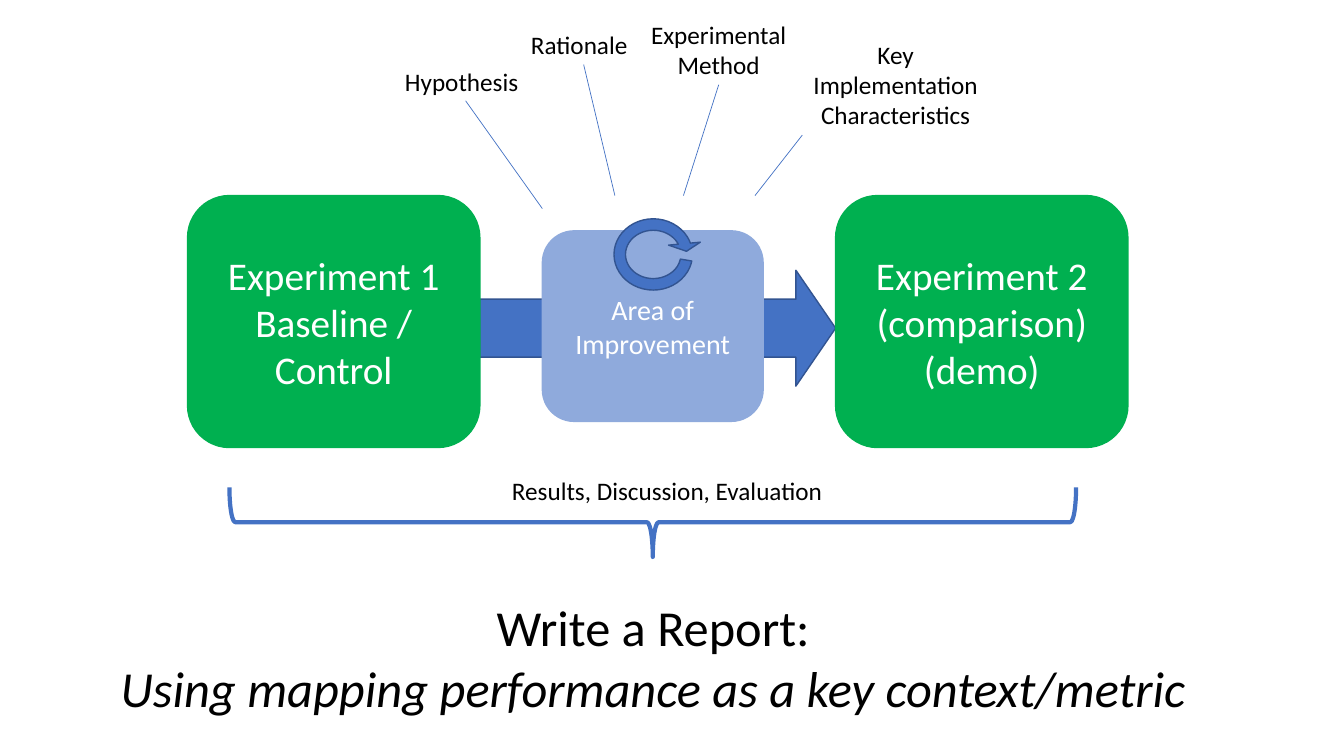
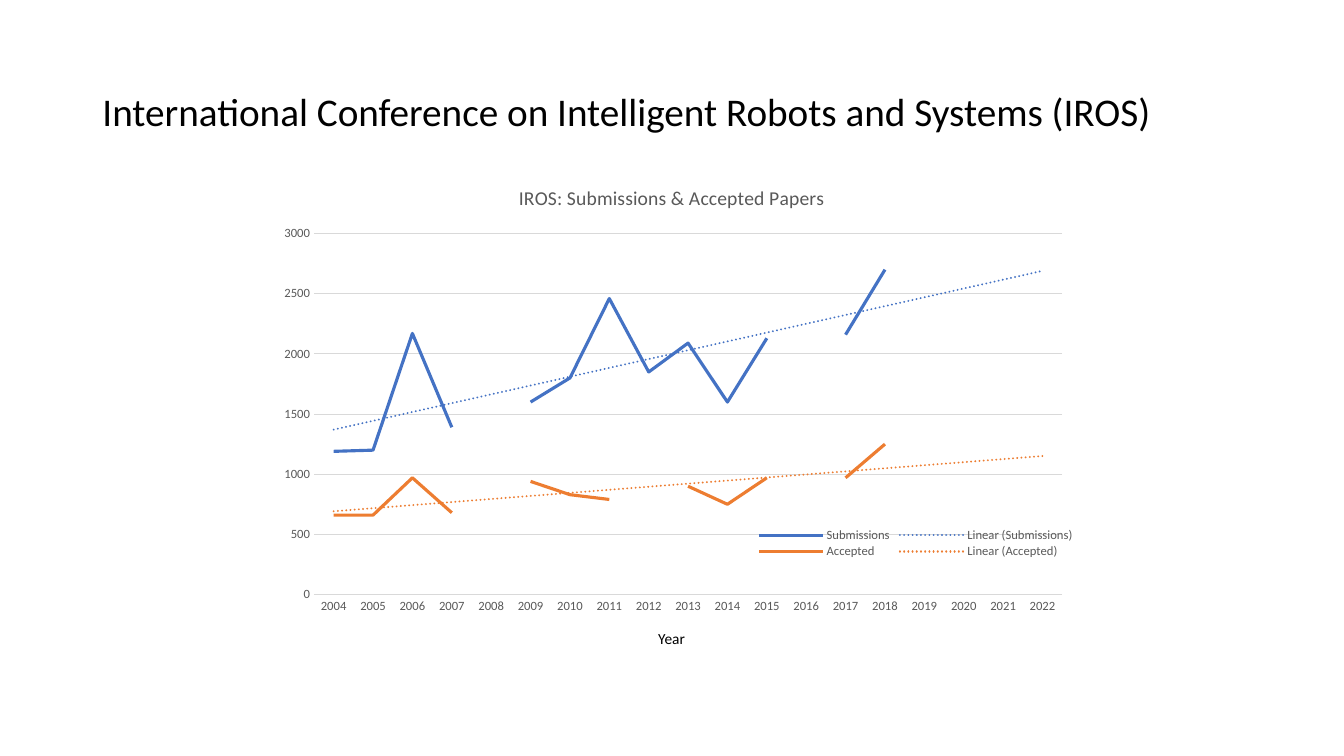
"""Build an experiment overview slide and a conference paper trend slide."""
from lxml import etree
from pptx import Presentation
from pptx import util as u
from pptx.chart.data import CategoryChartData
from pptx.dml.color import RGBColor
from pptx.enum import chart as ch, shapes, text
from pptx.oxml import ns, parse_xml

Pt = u.Pt
FONT = "Calibri"
COLORS = {
    "blue": "4472C4", "edge": "325491", "pale": "8FAADC", "green": "00B050",
    "orange": "ED7D31", "black": "000000", "white": "FFFFFF",
    "gray": "595959", "grid": "D9D9D9",
}
RGB = {name: RGBColor.from_string(value) for name, value in COLORS.items()}
SHAPE = shapes.MSO_SHAPE
CENTER, LEFT = text.PP_ALIGN.CENTER, text.PP_ALIGN.LEFT


def write(tf, lines, size, color, align=CENTER, italic=()):
    """Fill a text frame with one paragraph per line."""
    for i, line in enumerate(lines):
        p = tf.paragraphs[0] if i == 0 else tf.add_paragraph()
        p.alignment = align
        r = p.add_run()
        r.text = line
        formats = {"name": FONT, "size": Pt(size), "italic": i in italic or None}
        for key, value in formats.items():
            setattr(r.font, key, value)
        r.font.color.rgb = RGB[color]


def label(s, box, lines, size, align=CENTER, italic=()):
    """Add an unwrapped black text box."""
    tf = s.shapes.add_textbox(*map(Pt, box)).text_frame
    tf.word_wrap = False
    tf.auto_size = text.MSO_AUTO_SIZE.SHAPE_TO_FIT_TEXT
    write(tf, lines, size, "black", align, italic)


prs = Presentation()
prs.slide_width, prs.slide_height = Pt(960), Pt(540)

s = prs.slides.add_slide(prs.slide_layouts[6])
blocks = [
    (SHAPE.RIGHT_ARROW, (342.7, 193, 254.2, 82.8), "blue", "edge", 1,
     (0.5, 0.343), [], 0),
    (SHAPE.ROUNDED_RECTANGLE, (134, 139.7, 208.8, 180), "green", "green", 1,
     (), ["Experiment 1", "Baseline / Control"], 28),
    (SHAPE.ROUNDED_RECTANGLE, (596.9, 139.7, 208.8, 180), "green", "green", 1,
     (), ["Experiment 2", "(comparison)", "(demo)"], 28),
    (SHAPE.ROUNDED_RECTANGLE, (387.4, 164.9, 157.7, 136.1), "pale", "pale", 1,
     (), ["Area of Improvement"], 20),
    (SHAPE.CIRCULAR_ARROW, (431.3, 149, 70.6, 65.5), "blue", "edge", 1,
     (0.125, 8.207, 204.577, 5.812, 0.174), [], 0),
    (SHAPE.RIGHT_BRACE, (441.4, 70.6, 49.7, 604.8), None, "blue", 3, (), [], 0),
]
for kind, box, fill, line, width, adjustments, lines, size in blocks:
    sp = s.shapes.add_shape(kind, *map(Pt, box))
    sp.shadow.inherit = False
    if fill:
        sp.fill.solid()
        sp.fill.fore_color.rgb = RGB[fill]
    else:
        sp.fill.background()
        sp.rotation = 90
    sp.line.color.rgb = RGB[line]
    sp.line.width = Pt(width)
    for i, value in enumerate(adjustments):
        sp.adjustments[i] = value
    if lines:
        sp.text_frame.word_wrap = True
        sp.text_frame.vertical_anchor = text.MSO_ANCHOR.MIDDLE
        write(sp.text_frame, lines, size, "white")

pointers = [
    (332.6, 72, 387.4, 149), (416.9, 46.1, 439.2, 139.7),
    (488.2, 139.7, 513.4, 60.5), (539.3, 139.7, 573.1, 96.5),
]
for ends in pointers:
    pointer = s.shapes.add_connector(shapes.MSO_CONNECTOR.STRAIGHT, *map(Pt, ends))
    pointer.line.color.rgb = RGB["blue"]
    pointer.line.width = Pt(0.5)
    etree.SubElement(pointer.element.spPr, ns.qn("a:effectLst"))

captions = [
    ((282.2, 43.9, 96.5, 29), ["Hypothesis"], LEFT),
    ((372.2, 17.3, 84.2, 29), ["Rationale"], LEFT),
    ((457.2, 10.1, 112.3, 51), ["Experimental", "Method"], CENTER),
    ((573.1, 24.5, 133.2, 72.7), ["Key", "Implementation", "Characteristics"], CENTER),
    ((358.6, 336.2, 238.3, 29), ["Results, Discussion, Evaluation"], LEFT),
]
for box, lines, align in captions:
    label(s, box, lines, 18, align)
label(s, (74.9, 422.6, 783.4, 94.3),
      ["Write a Report:", "Using mapping performance as a key context/metric"],
      36, italic=(1,))

s = prs.slides.add_slide(prs.slide_layouts[5])
title = s.shapes.title
for key, value in zip(("left", "top", "width", "height"), (66, 28.8, 828, 104.4)):
    setattr(title, key, Pt(value))
title.text_frame.vertical_anchor = text.MSO_ANCHOR.MIDDLE
write(title.text_frame,
      ["International Conference on Intelligent Robots and Systems (IROS)"],
      28, "black", LEFT)
title.text_frame.paragraphs[0].line_spacing = 0.9

label(s, (463, 445.7, 34.6, 20.6), ["Year"], 11, LEFT)

papers = {
    "Submissions": ("blue", [1190, 1200, 2170, 1390, None, 1600, 1800, 2460, 1850,
                             2090, 1600, 2130, None, 2160, 2700] + [None] * 4),
    "Accepted": ("orange", [660, 660, 970, 680, None, 940, 830, 790, None,
                            900, 750, 970, None, 970, 1250] + [None] * 4),
}
data = CategoryChartData()
data.categories = [str(year) for year in range(2004, 2023)]
for name, (color, values) in papers.items():
    data.add_series(name, values)
chart = s.shapes.add_chart(ch.XL_CHART_TYPE.LINE, Pt(189.4), Pt(118.1), Pt(581),
                           Pt(348.5), data).chart
chart.font.name, chart.font.size = FONT, Pt(10)
chart.font.color.rgb = RGB["black"]
chart.has_title = True
write(chart.chart_title.text_frame, ["IROS: Submissions & Accepted Papers"], 14, "gray")
chart.chart_title.text_frame.paragraphs[0].runs[0].font.bold = False
chart.chart_title.include_in_layout = False
chart.has_legend = True
chart.legend.position = ch.XL_LEGEND_POSITION.BOTTOM
chart.legend.include_in_layout = False

years, counts = chart.category_axis, chart.value_axis
for axis in (years, counts):
    axis.major_tick_mark = axis.minor_tick_mark = ch.XL_TICK_MARK.NONE
for font in (years.tick_labels.font, counts.tick_labels.font, chart.legend.font):
    font.name, font.size = FONT, Pt(9)
    font.color.rgb = RGB["gray"]
counts.minimum_scale, counts.maximum_scale, counts.major_unit = 0, 3000, 500
counts.format.line.fill.background()
for line in (years.format.line, counts.major_gridlines.format.line):
    line.color.rgb = RGB["grid"]
    line.width = Pt(0.75)

chart.plots[0].vary_by_categories = False
for series in chart.plots[0].series:
    color = papers[series.name][0]
    series.smooth = False
    series.marker.style = ch.XL_MARKER_STYLE.NONE
    series.format.line.color.rgb = RGB[color]
    series.format.line.width = Pt(2.25)
    trend = parse_xml(
        f'<c:trendline {ns.nsdecls("c", "a")}><c:spPr><a:ln w="{Pt(1.5)}" cap="rnd">'
        f'<a:solidFill><a:srgbClr val="{COLORS[color]}"/></a:solidFill>'
        '<a:prstDash val="sysDot"/></a:ln></c:spPr><c:trendlineType val="linear"/>'
        '<c:dispRSqr val="0"/><c:dispEq val="0"/></c:trendline>')
    series._element.find(ns.qn("c:cat")).addprevious(trend)

layouts = [
    (chart._chartSpace.chart.plotArea, '<c:layoutTarget val="inner"/>',
     (0.06, 0.14, 0.92, 0.74)),
    (chart.legend._element, "", (0.6, 0.74, 0.4, 0.07)),
]
for parent, target, (x, y, w, h) in layouts:
    for old in parent.findall(ns.qn("c:layout")):
        parent.remove(old)
    layout = parse_xml(
        f'<c:layout {ns.nsdecls("c")}><c:manualLayout>{target}'
        '<c:xMode val="edge"/><c:yMode val="edge"/>'
        f'<c:x val="{x}"/><c:y val="{y}"/><c:w val="{w}"/><c:h val="{h}"/>'
        '</c:manualLayout></c:layout>')
    parent.insert(0 if target else 1, layout)

prs.save("out.pptx")
